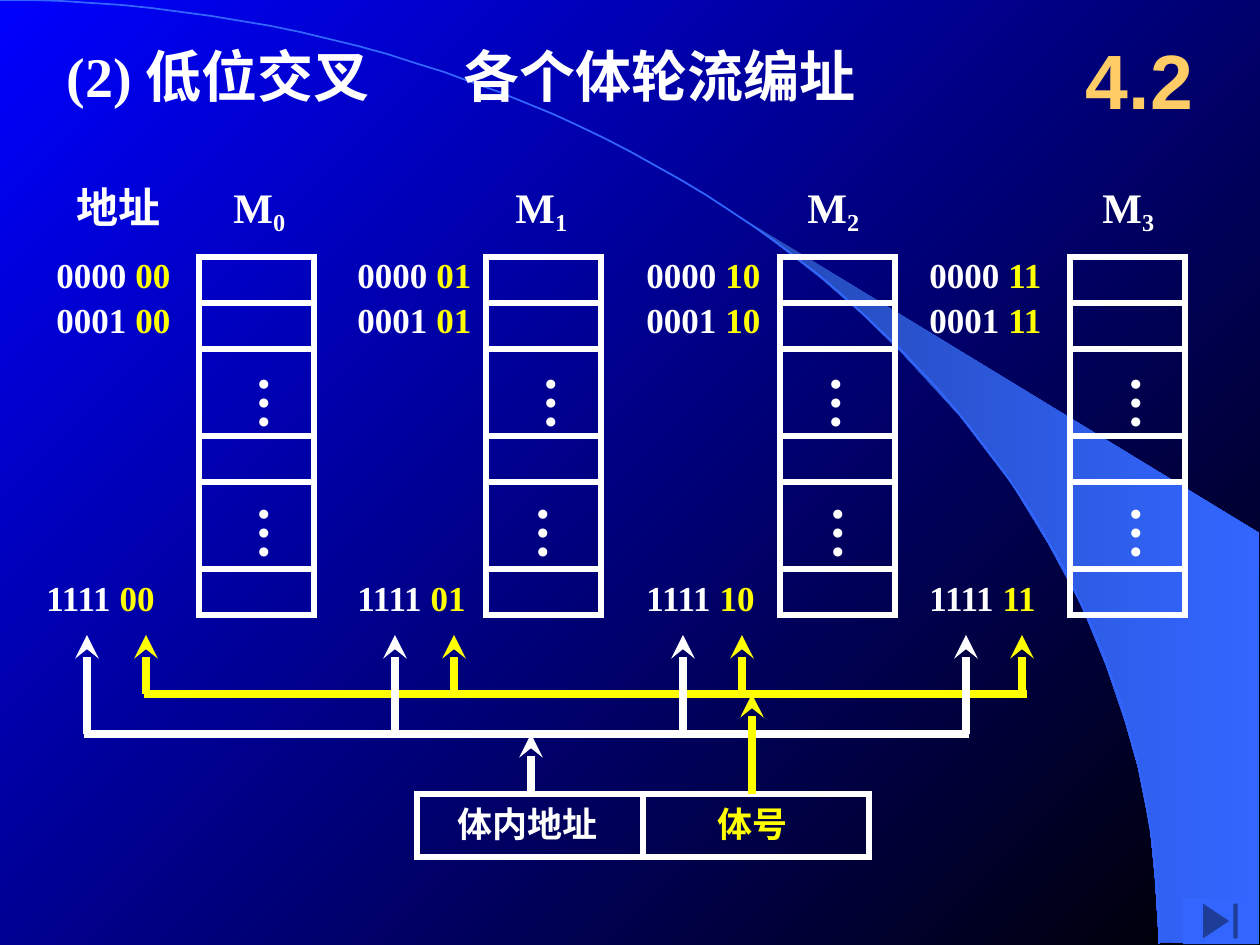
from itertools import pairwise
from math import cos, pi, sin

from lxml.etree import SubElement
from pptx import Presentation
from pptx.dml.color import RGBColor
from pptx.enum.shapes import MSO_CONNECTOR as Link, MSO_SHAPE as Kind
from pptx.enum.text import MSO_ANCHOR as Anchor, MSO_AUTO_SIZE as Fit, PP_ALIGN as Align
from pptx.oxml.ns import qn
from pptx.util import Pt

WHITE = RGBColor(0xFF, 0xFF, 0xFF)
YELLOW = RGBColor(0xFF, 0xFF, 0x00)
GOLD = RGBColor(0xFF, 0xCC, 0x66)
BLUE = RGBColor(0x00, 0x00, 0xFF)
BLACK = RGBColor(0x00, 0x00, 0x00)
NAVY = RGBColor(0x24, 0x49, 0xB6)
SKY = RGBColor(0x33, 0x66, 0xFF)
SCALE = 914400 / 126


def px(*nums):
    return [round(n * SCALE) for n in nums]


def blend(fill, first, last, angle):
    fill.gradient()
    fill.gradient_angle = angle
    for stop, color, place in zip(fill.gradient_stops, (first, last), (0, 1)):
        stop.color.rgb = color
        stop.position = place


class Board:
    serif = "Times New Roman"
    sans = "Arial"

    def __init__(self, deck):
        self.slide = deck.slides.add_slide(deck.slide_layouts[5])
        self.shapes = self.slide.shapes

    def font(self, para, size, name, color=None):
        font = para.font
        font.size, font.name, font.bold = Pt(size), name, True
        if color is not None:
            font.color.rgb = color

    def title(self, text, x, y, w, h):
        shape = self.shapes.title
        shape.left, shape.top, shape.width, shape.height = px(x, y, w, h)
        frame = shape.text_frame
        frame.text = text
        frame.auto_size = Fit.NONE
        frame.vertical_anchor = Anchor.MIDDLE
        para = frame.paragraphs[0]
        para.alignment = Align.CENTER
        self.font(para, 44, self.sans, GOLD)

    def text(self, runs, x, y, w, h, size, wrap=False):
        frame = self.shapes.add_textbox(*px(x, y, w, h)).text_frame
        frame.word_wrap = wrap
        frame.auto_size = Fit.SHAPE_TO_FIT_TEXT
        para = frame.paragraphs[0]
        self.font(para, size, self.serif)
        for words, color, extra in runs:
            run = para.add_run()
            run.text = words
            run.font.color.rgb = color
            for key, val in extra.items():
                run.font._element.set(key, val)
        return frame

    def dots(self, x, y):
        frame = self.text([("…", WHITE, {})], x, y, 92, 69, 32)
        frame._txBody.bodyPr.set("vert", "eaVert")

    def box(self, x, y, w, h):
        shape = self.shapes.add_shape(Kind.RECTANGLE, *px(x, y, w, h))
        shape.shadow.inherit = False
        shape.fill.background()
        shape.line.color.rgb = WHITE
        shape.line.width = Pt(3)
        SubElement(shape.line._get_or_add_ln(), qn("a:miter"), lim="800000")

    def line(self, x1, y1, x2, y2, color, head=False):
        link = self.shapes.add_connector(Link.STRAIGHT, *px(x1, y1, x2, y2))
        link.line.color.rgb = color
        link.line.width = Pt(4.5)
        if head:
            SubElement(link.line._get_or_add_ln(), qn("a:headEnd"), type="stealth")
        SubElement(link._element.spPr, qn("a:effectLst"))

    def free(self, points, close):
        pen = self.shapes.build_freeform(*points[0], scale=SCALE)
        pen.add_line_segments(points[1:], close=close)
        shape = pen.convert_to_shape()
        shape.shadow.inherit = False
        return shape

    def button(self, x, y, w, h):
        shape = self.shapes.add_shape(Kind.ACTION_BUTTON_END, *px(x, y, w, h))
        shape.shadow.inherit = False
        shape.fill.solid()
        shape.fill.fore_color.rgb = SKY
        shape.line.fill.background()


def scene(board):
    blend(board.slide.background.fill, BLUE, BLACK, 315)
    beam = board.free([
        (1159, 942), (1259, 944), (1259, 533), (742, 218), (786, 251), (823, 280),
        (863, 315), (902, 353), (960, 416), (1012, 484), (1048, 543), (1081, 604),
        (1106, 665), (1125, 721), (1138, 767), (1150, 827), (1155, 877)], True)
    blend(beam.fill, NAVY, SKY, 0)
    beam.line.fill.background()
    turns = [pi / 2 * i / 60 for i in range(61)]
    arc = board.free([(round(1159 * sin(t)), round(944 * (1 - cos(t)))) for t in turns], False)
    arc.fill.background()
    arc.line.color.rgb = SKY
    arc.line.width = Pt(1)


def banks(board):
    edges = [257, 303, 349, 436, 482, 569, 615]
    cols = [
        (221, 199, 231, 231, 44, 34), (503, 486, 518, 510, 345, 345),
        (795, 780, 803, 805, 634, 634), (1090, 1070, 1103, 1103, 917, 917)]
    for i, (name, left, upper, lower, addr, last) in enumerate(cols):
        board.text([("M", WHITE, {}), (str(i), WHITE, {"baseline": "-20000"})],
                   name, 175, 79, 63, 24)
        for top, end in pairwise(edges):
            board.box(left, top, 115, end - top)
        board.dots(upper, 363)
        board.dots(lower, 493)
        for high, x, y in (("0000 ", addr, 247), ("0001 ", addr, 292), ("1111 ", last, 570)):
            board.text([(high, WHITE, {}), (f"{i:02b}", YELLOW, {})],
                       x, y, 145, 54, 20, True)


def buses(board):
    for color, y, start, end, taps in (
            (YELLOW, 694, 144, 1027, (146, 454, 742, 1022)),
            (WHITE, 734, 84, 969, (87, 395, 683, 966))):
        board.line(start, y, end, y, color)
        for x in taps:
            board.line(x, 635, x, y, color, True)
    board.line(752, 694, 752, 794, YELLOW, True)
    board.line(531, 734, 531, 794, WHITE, True)


def main():
    deck = Presentation()
    deck.slide_width, deck.slide_height = px(1260, 945)
    board = Board(deck)
    scene(board)
    board.title("4.2", 1061, 21, 157, 116)
    board.text([("(2) 低位交叉", WHITE, {})], 54, 35, 390, 79, 32, True)
    board.text([("各个体轮流编址", WHITE, {})], 451, 35, 600, 79, 32, True)
    board.text([("地址", WHITE, {})], 64, 175, 114, 63, 24)
    banks(board)
    for x, left, words, color in ((417, 445, "体内地址", WHITE), (643, 705, "体号", YELLOW)):
        board.box(x, 794, 226, 63)
        board.text([(words, color, {})], left, 796, 36 * len(words) + 30, 54, 20)
    buses(board)
    board.button(1183, 898, 75, 46)
    deck.save("out.pptx")


if __name__ == "__main__":
    main()
